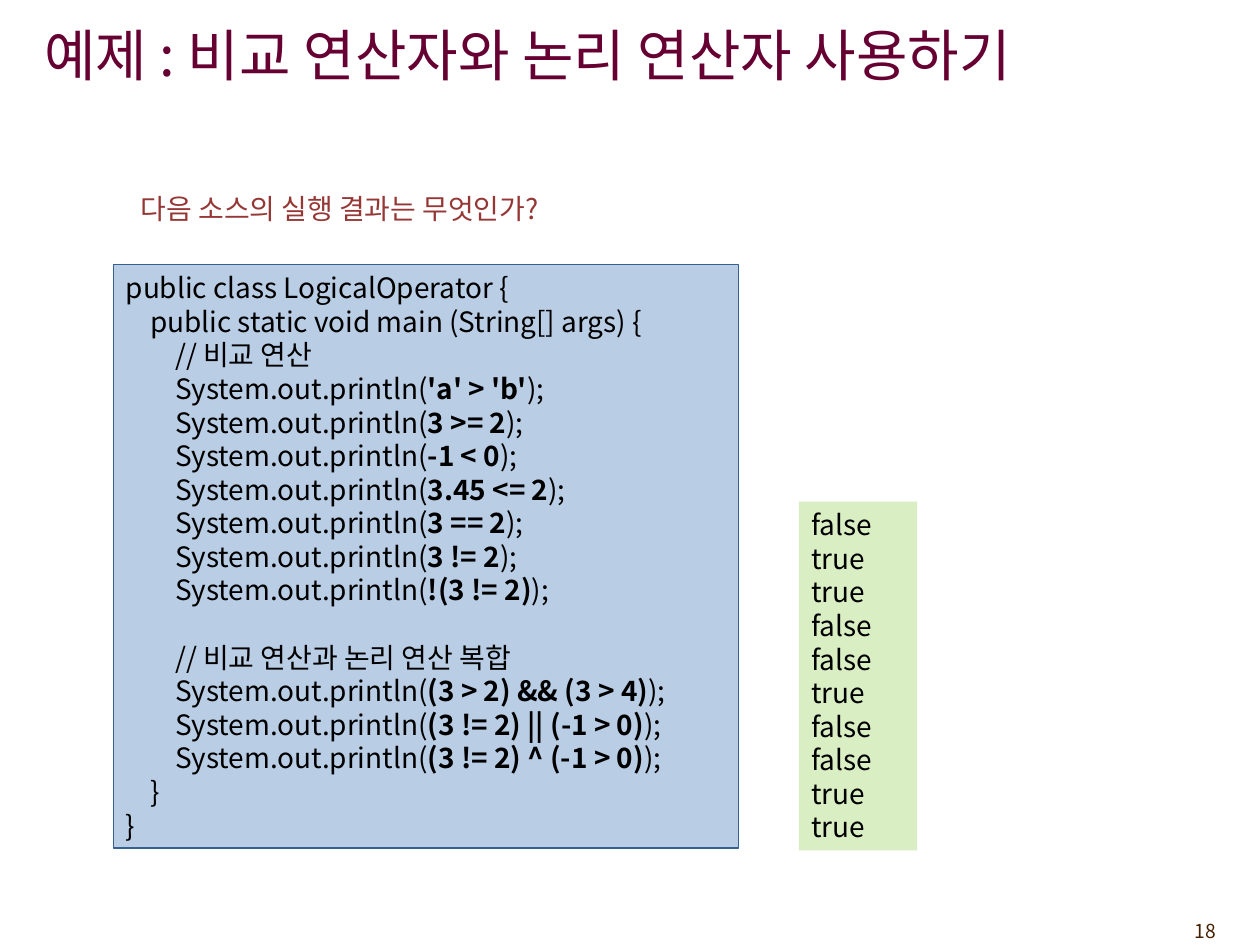
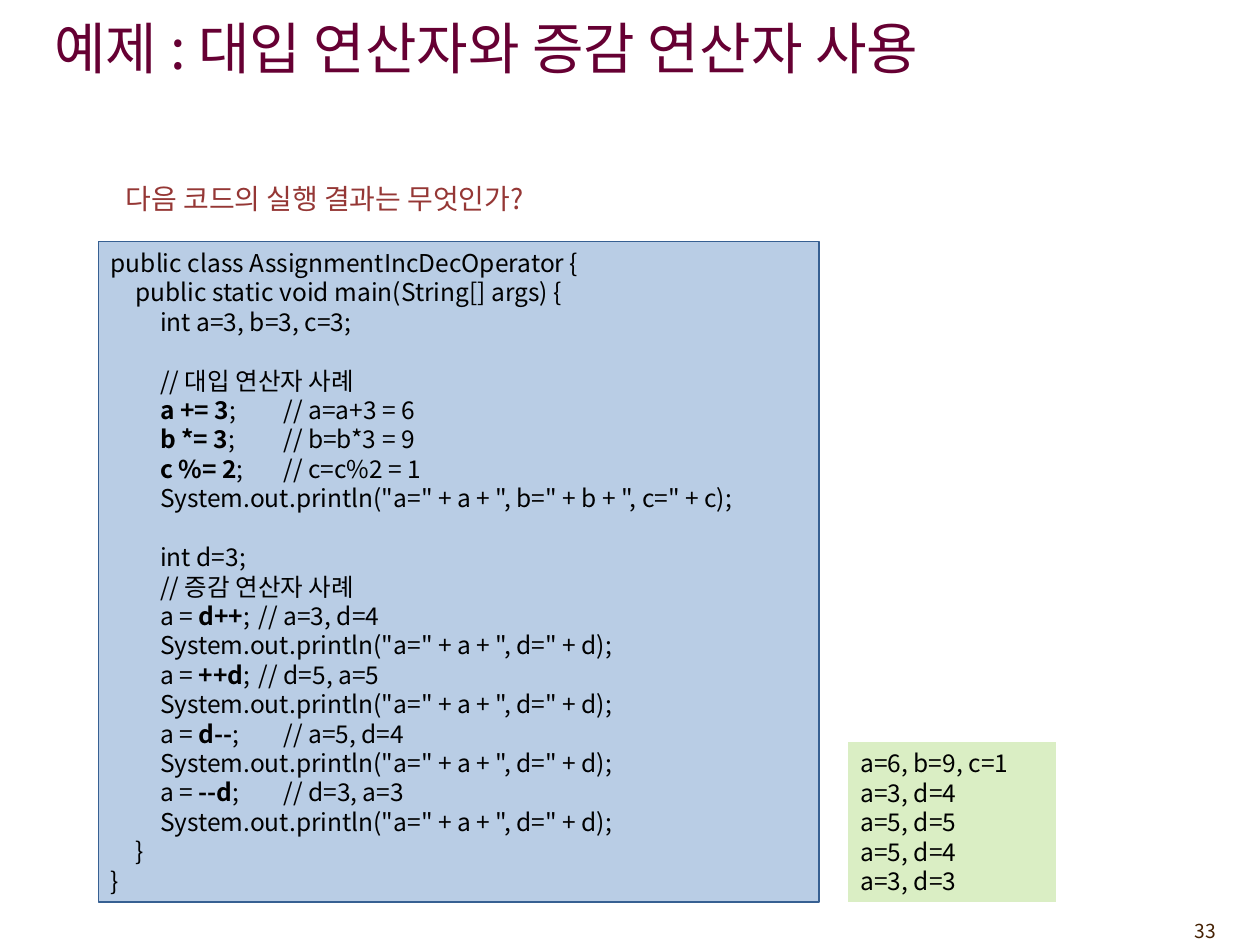
"""Build two Java operator example slides with code listings and their output."""
from dataclasses import dataclass
from typing import NamedTuple

import lxml.etree
import pptx
import pptx.dml.color
import pptx.enum.shapes
import pptx.enum.text
import pptx.oxml.ns
import pptx.util

Pt = pptx.util.Pt
FONT = "Noto Sans CJK KR"
COLORS = {
    "title": "660033",
    "question": "953735",
    "number": "452103",
    "code_fill": "B9CDE5",
    "code_line": "376092",
    "output_fill": "DAEEC4",
    "text": "000000",
}
TITLE_SIZE, QUESTION_SIZE, NUMBER_SIZE = 32, 16, 11
LINE_FACTOR = 1.2
TAB_STEP, TAB_COUNT = 14.1, 7
BOLD_MARK = "`"


class Box(NamedTuple):
    left: float
    top: float
    width: float
    height: float


@dataclass(frozen=True)
class Example:
    number: int
    title: str
    title_box: Box
    question: str
    question_box: Box
    code: str
    code_box: Box
    output: str
    output_box: Box
    code_size: int


NUMBER_BOX = Box(642.2, 522, 59.8, 20.9)

EXAMPLES = [
    Example(
        number=18,
        title="예제 : 비교 연산자와 논리 연산자 사용하기",
        title_box=Box(18, 4.3, 642.2, 53.3),
        question="다음 소스의 실행 결과는 무엇인가?",
        question_box=Box(73.4, 105.8, 248.4, 26.6),
        code="""public class LogicalOperator {
\tpublic static void main (String[] args) {
\t\t// 비교 연산
\t\tSystem.out.println(`'a' > 'b'`);
\t\tSystem.out.println(`3 >= 2`);
\t\tSystem.out.println(`-1 < 0`);
\t\tSystem.out.println(`3.45 <= 2`);
\t\tSystem.out.println(`3 == 2`);
\t\tSystem.out.println(`3 != 2`);
\t\tSystem.out.println(`!(3 != 2)`);

\t\t// 비교 연산과 논리 연산 복합
\t\tSystem.out.println(`(3 > 2) && (3 > 4)`);
\t\tSystem.out.println(`(3 != 2) || (-1 > 0)`);
\t\tSystem.out.println(`(3 != 2) ^ (-1 > 0)`);
\t}
}""",
        code_box=Box(64.8, 151.2, 357.1, 333.4),
        output="false\ntrue\ntrue\nfalse\nfalse\ntrue\nfalse\nfalse\ntrue\ntrue",
        output_box=Box(456.5, 286.6, 67.7, 199.4),
        code_size=16,
    ),
    Example(
        number=33,
        title="예제 : 대입 연산자와 증감 연산자 사용",
        title_box=Box(23.8, 0, 642.2, 53.3),
        question="다음 코드의 실행 결과는 무엇인가?",
        question_box=Box(64.8, 100.1, 248.4, 26.6),
        code="""public class AssignmentIncDecOperator {
\tpublic static void main(String[] args) {
\t\tint a=3, b=3, c=3;

\t\t// 대입 연산자 사례
\t\t`a += 3`; \t\t// a=a+3 = 6
\t\t`b *= 3`; \t\t// b=b*3 = 9
\t\t`c %= 2`; \t\t// c=c%2 = 1
\t\tSystem.out.println("a=" + a + ", b=" + b + ", c=" + c);

\t\tint d=3;
\t\t// 증감 연산자 사례
\t\ta = `d++`; \t// a=3, d=4
\t\tSystem.out.println("a=" + a + ", d=" + d);
\t\ta = `++d`; \t// d=5, a=5
\t\tSystem.out.println("a=" + a + ", d=" + d);
\t\ta = `d--`; \t\t// a=5, d=4
\t\tSystem.out.println("a=" + a + ", d=" + d);
\t\ta = `--d`; \t\t// d=3, a=3
\t\tSystem.out.println("a=" + a + ", d=" + d);
\t}
}""",
        code_box=Box(56.2, 138.2, 411.8, 377.3),
        output="a=6, b=9, c=1\na=3, d=4\na=5, d=5\na=5, d=4\na=3, d=3",
        output_box=Box(484.6, 424.1, 118.8, 91.4),
        code_size=14,
    ),
]


def place(box: Box) -> list[int]:
    return [Pt(length) for length in box]


def rgb(name: str) -> pptx.dml.color.RGBColor:
    return pptx.dml.color.RGBColor.from_string(COLORS[name])


def add_tab_stops(paragraph) -> None:
    properties = paragraph._p.get_or_add_pPr()
    tab_list = lxml.etree.SubElement(properties, pptx.oxml.ns.qn("a:tabLst"))
    for stop in range(1, TAB_COUNT + 1):
        position = str(int(Pt(stop * TAB_STEP)))
        lxml.etree.SubElement(tab_list, pptx.oxml.ns.qn("a:tab"), pos=position, algn="l")


def format_paragraph(paragraph, size: int, color: str, alignment) -> None:
    paragraph.alignment = alignment
    paragraph.line_spacing = Pt(size * LINE_FACTOR)
    font = paragraph.font
    font.name, font.size, font.bold = FONT, Pt(size), False
    font.color.rgb = rgb(color)
    defaults = paragraph._p.pPr.find(pptx.oxml.ns.qn("a:defRPr"))
    lxml.etree.SubElement(defaults, pptx.oxml.ns.qn("a:ea"), typeface=FONT)


def write_text(shape, text: str, size: int, color: str,
               alignment=pptx.enum.text.PP_ALIGN.LEFT,
               anchor=pptx.enum.text.MSO_ANCHOR.TOP, tabs: bool = False) -> None:
    frame = shape.text_frame
    frame.word_wrap = True
    frame.auto_size = pptx.enum.text.MSO_AUTO_SIZE.NONE
    frame.vertical_anchor = anchor
    for index, line in enumerate(text.split("\n")):
        paragraph = frame.add_paragraph() if index else frame.paragraphs[0]
        if tabs:
            add_tab_stops(paragraph)
        format_paragraph(paragraph, size, color, alignment)
        for part, words in enumerate(line.split(BOLD_MARK)):
            if words:
                run = paragraph.add_run()
                run.text = words
                if part % 2:
                    run.font.bold = True


def add_panel(slide, box: Box, fill: str, line: str | None = None):
    shape = slide.shapes.add_shape(
        pptx.enum.shapes.MSO_SHAPE.RECTANGLE, *place(box))
    shape.shadow.inherit = False
    shape.fill.solid()
    shape.fill.fore_color.rgb = rgb(fill)
    if line:
        shape.line.color.rgb = rgb(line)
        shape.line.width = Pt(0.75)
    else:
        shape.line.fill.background()
    return shape


def add_example(presentation, example: Example) -> None:
    slide = presentation.slides.add_slide(presentation.slide_layouts[5])
    title = slide.shapes.title
    title.left, title.top, title.width, title.height = place(example.title_box)
    write_text(title, example.title, TITLE_SIZE, "title",
               anchor=pptx.enum.text.MSO_ANCHOR.MIDDLE)
    number = slide.shapes.add_textbox(*place(NUMBER_BOX))
    write_text(number, str(example.number), NUMBER_SIZE, "number",
               alignment=pptx.enum.text.PP_ALIGN.RIGHT)
    code = add_panel(slide, example.code_box, "code_fill", "code_line")
    write_text(code, example.code, example.code_size, "text", tabs=True)
    question = slide.shapes.add_textbox(*place(example.question_box))
    write_text(question, example.question, QUESTION_SIZE, "question")
    output = add_panel(slide, example.output_box, "output_fill")
    write_text(output, example.output, example.code_size, "text")


def main() -> None:
    presentation = pptx.Presentation()
    presentation.slide_width, presentation.slide_height = Pt(720), Pt(540)
    for example in EXAMPLES:
        add_example(presentation, example)
    presentation.save("out.pptx")


if __name__ == "__main__":
    main()
